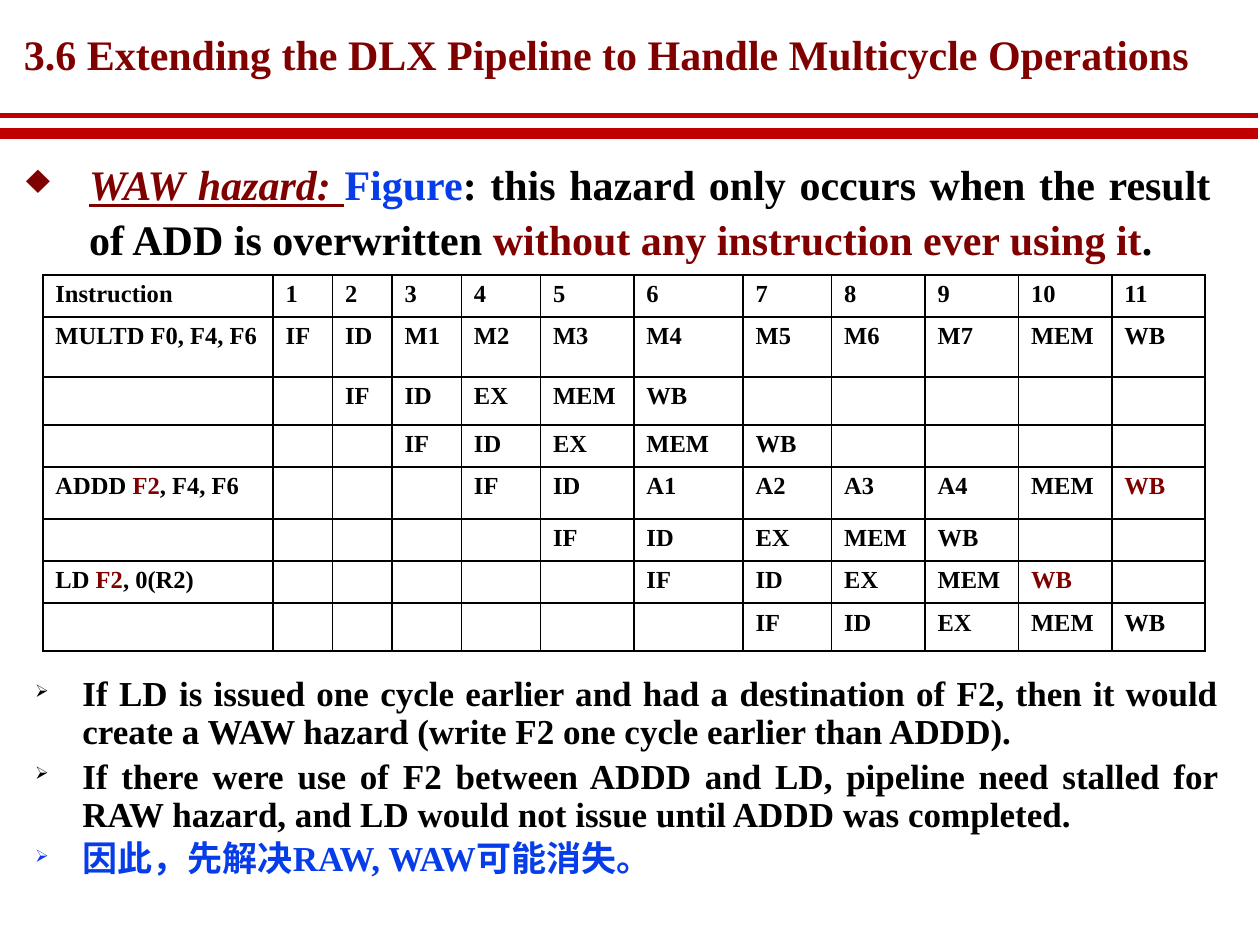
from lxml import etree
from pptx import Presentation
from pptx.dml.color import RGBColor
from pptx.enum import shapes, text
from pptx.oxml import ns
from pptx.util import Pt

BLACK = RGBColor(0, 0, 0)
MAROON = RGBColor(0x80, 0, 0)
BLUE = RGBColor(0x06, 0x3D, 0xE8)
RED = RGBColor(0xC0, 0, 0)
FACE = "Times New Roman"

TITLE = [("3.6 Extending the DLX Pipeline to Handle Multicycle Operations", MAROON)]
HAZARD = [
    ("WAW hazard: ", MAROON, {"italic": True, "underline": True}),
    ("Figure", BLUE),
    (": this hazard only occurs when the result of ADD is overwritten ", BLACK),
    ("without any instruction ever using it", MAROON),
    (".", BLACK),
]
NOTES = [
    [("If LD is issued one cycle earlier and had a destination of F2, then it would "
      "create a WAW hazard (write F2 one cycle earlier than ADDD).", BLACK)],
    [("If there were use of F2 between ADDD and LD, pipeline need stalled for RAW "
      "hazard, and LD would not issue until ADDD was completed.", BLACK)],
    [("因此，先解决RAW, WAW可能消失。", BLUE)],
]

SHORT = "IF ID EX MEM WB"
ROWS = [
    ([("MULTD F0, F4, F6", BLACK)], "IF ID M1 M2 M3 M4 M5 M6 M7 MEM WB", BLACK, 34.3),
    ([], SHORT, BLACK, 27.4),
    ([], SHORT, BLACK, 24),
    ([("ADDD ", BLACK), ("F2", MAROON), (", F4, F6", BLACK)],
     "IF ID A1 A2 A3 A4 MEM WB", MAROON, 29.7),
    ([], SHORT, BLACK, 24),
    ([("LD ", BLACK), ("F2", MAROON), (", 0(R2)", BLACK)], SHORT, MAROON, 24),
    ([], SHORT, BLACK, 27.4),
]
WIDTHS = [131.6, 34, 34, 39.6, 45.2, 53.4, 62.4, 50.6] + [53.4] * 4
HEAD = 24
RULES = [(76.3, 6), (66.2, 3)]


def style(obj, vals):
    for key, val in vals.items():
        setattr(obj, key, val)


def node(top, tag, **attrs):
    return etree.SubElement(top, ns.qn("a:" + tag), attrs)


def write(para, runs, size):
    for words, tint, *more in runs:
        run = para.add_run()
        run.text = words
        style(run.font, {"name": FACE, "size": Pt(size), "bold": True})
        for extra in more:
            style(run.font, extra)
        run.font.color.rgb = tint
    if not runs:
        node(para._p, "endParaRPr", sz=str(size * 100))


def bullet(para, mark, hang, scale):
    props = para._p.get_or_add_pPr()
    props.set("marL", str(Pt(hang)))
    props.set("indent", str(-Pt(hang)))
    node(props, "buSzPct", val=str(scale * 1000))
    node(props, "buChar", char=mark)
    para.alignment = text.PP_ALIGN.JUSTIFY


def frame(slide, place, wrap):
    box = slide.shapes.add_textbox(*map(Pt, place))
    box.text_frame.word_wrap = wrap
    return box.text_frame


def border(cell):
    props = cell._tc.get_or_add_tcPr()
    for side in ("lnL", "lnR", "lnT", "lnB"):
        line = node(props, side, w=str(Pt(1)))
        node(node(line, "solidFill"), "srgbClr", val=str(BLACK))
    cell.fill.background()


def stages():
    yield [[("Instruction", BLACK)]] + [[(str(n), BLACK)] for n in range(1, 12)]
    for start, (label, steps, last, _) in enumerate(ROWS):
        steps = steps.split()
        cells = [[(step, BLACK)] for step in steps[:-1]] + [[(steps[-1], last)]]
        row = [label] + [[]] * start + cells
        yield row + [[]] * (len(WIDTHS) - len(row))


def chart(slide):
    highs = [HEAD] + [row[-1] for row in ROWS]
    place = map(Pt, (24.5, 157, sum(WIDTHS), sum(highs)))
    table = slide.shapes.add_table(len(highs), len(WIDTHS), *place).table
    style(table, {"first_row": False, "horz_banding": False})
    for col, wide in zip(table.columns, WIDTHS):
        col.width = Pt(wide)
    for row, high, line in zip(table.rows, highs, stages()):
        row.height = Pt(high)
        for cell, runs in zip(row.cells, line):
            border(cell)
            write(cell.text_frame.paragraphs[0], runs, 14)


def main():
    deck = Presentation()
    style(deck, {"slide_width": Pt(720), "slide_height": Pt(540)})
    slide = deck.slides.add_slide(deck.slide_layouts[6])

    head = frame(slide, (8.6, 18, 682.6, 29.5), False)
    style(head, {"margin_left": Pt(5), "margin_right": Pt(5),
                 "margin_top": Pt(2.2), "margin_bottom": Pt(2.2)})
    head.paragraphs[0].line_spacing = 0.87
    write(head.paragraphs[0], TITLE, 24)

    for top, thick in RULES:
        rule = slide.shapes.add_connector(
            shapes.MSO_CONNECTOR.STRAIGHT, Pt(-1), Pt(top), Pt(718.8), Pt(top))
        style(rule.line, {"width": Pt(thick)})
        rule.line.color.rgb = RED
        node(rule._element.spPr, "effectLst")

    para = frame(slide, (7.9, 85, 691.2, 69.8), True).paragraphs[0]
    bullet(para, "♦", 36, 100)
    para.line_spacing = Pt(31)
    write(para, HAZARD, 24)

    chart(slide)

    body = frame(slide, (13, 383, 690.5, 126), True)
    for spot, runs in enumerate(NOTES):
        para = body.add_paragraph() if spot else body.paragraphs[0]
        bullet(para, "➢", 27, 50)
        style(para, {"line_spacing": 0.9, "space_before": Pt(4 if spot else 0)})
        write(para, runs, 20)

    deck.save("out.pptx")


if __name__ == "__main__":
    main()
